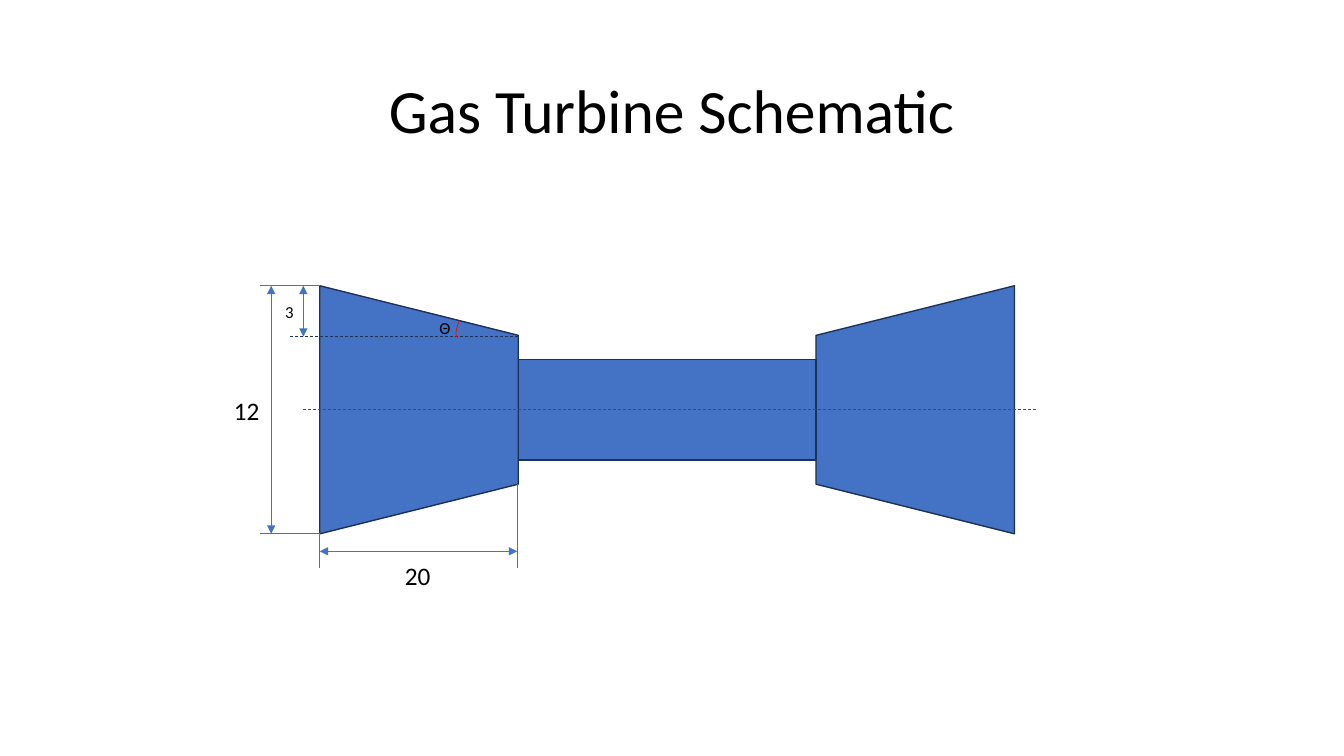
from dataclasses import dataclass
from typing import Optional

from lxml.etree import SubElement
from pptx import Presentation
from pptx.dml.color import RGBColor
from pptx.enum.dml import MSO_LINE as Dash
from pptx.enum.shapes import MSO_CONNECTOR as Connector, MSO_SHAPE as Preset
from pptx.enum.text import MSO_ANCHOR as Anchor, PP_ALIGN as Align
from pptx.oxml.ns import qn
from pptx.util import Pt

COLORS = {"body": "4472C4", "outline": "1E3256", "axis": "FF0000", "text": "000000"}
FONT = "Calibri"

# Main levels of the drawing, in points
AXIS_Y = 292.7
MOUTH, LENGTH = 177.2, 141.8
LEFT, RIGHT = 228.4, 582.9
THROAT = LEFT + LENGTH
TOP, BOTTOM = AXIS_Y - MOUTH / 2, AXIS_Y + MOUTH / 2
STEP_Y = 240.5
SHAFT_HEIGHT = 72


@dataclass
class Body:
    preset: Preset
    center_x: float
    width: float
    height: float
    rotation: float = 0


@dataclass
class Line:
    x1: float
    y1: float
    x2: float
    y2: float
    color: str = "body"
    dashed: bool = False
    arrows: bool = False


@dataclass
class Label:
    text: str
    left: float
    top: float
    width: float
    height: float
    size: float


BODIES = [
    Body(Preset.TRAPEZOID, LEFT + LENGTH / 2, MOUTH, LENGTH, 270 - 180),
    Body(Preset.TRAPEZOID, RIGHT + LENGTH / 2, MOUTH, LENGTH, 270),
    Body(Preset.RECTANGLE, (THROAT + RIGHT) / 2, RIGHT - THROAT, SHAFT_HEIGHT),
]
LINES = [
    # Step level and centre line
    Line(THROAT, STEP_Y, 207.5, STEP_Y, "outline", dashed=True),
    Line(216.7, AXIS_Y, 741.6, AXIS_Y, "axis", dashed=True),
    # Extension lines
    Line(LEFT, TOP, 185.8, TOP),
    Line(LEFT, BOTTOM, 185.8, BOTTOM),
    Line(LEFT, BOTTOM, LEFT, 406),
    Line(369.5, 345.6, 369.5, 406),
    # Dimension arrows
    Line(216.7, STEP_Y, 216.7, TOP, arrows=True),
    Line(193.7, BOTTOM, 193.7, TOP, arrows=True),
    Line(LEFT, 393.8, 369.5, 393.8, arrows=True),
]
LABELS = [
    Label("12", 160, 278.6, 35.3, 29.1, 18),
    Label("3", 196.6, 211.7, 18, 21.8, 12),
    Label("20", 282.2, 396.7, 35.3, 29.1, 18),
    Label("Θ", 306.7, 223.2, 19.4, 21.8, 12),
]


def rgb(name: str) -> RGBColor:
    return RGBColor.from_string(COLORS[name])


def write_text(frame, text: str, *, size: float, align: Align = Align.LEFT,
               anchor: Anchor = Anchor.TOP, spacing: Optional[float] = None) -> None:
    frame.word_wrap = True
    frame.vertical_anchor = anchor
    paragraph = frame.paragraphs[0]
    paragraph.alignment = align
    paragraph.line_spacing = spacing
    run = paragraph.add_run()
    run.text = text
    run.font.name = FONT
    run.font.size = Pt(size)
    run.font.color.rgb = rgb("text")


def draw_body(slide, body: Body) -> None:
    shape = slide.shapes.add_shape(
        body.preset, Pt(body.center_x - body.width / 2), Pt(AXIS_Y - body.height / 2),
        Pt(body.width), Pt(body.height))
    shape.rotation = body.rotation
    shape.shadow.inherit = False
    shape.fill.solid()
    shape.fill.fore_color.rgb = rgb("body")
    shape.line.color.rgb = rgb("outline")
    shape.line.width = Pt(1)


def draw_line(slide, line: Line) -> None:
    connector = slide.shapes.add_connector(
        Connector.STRAIGHT, Pt(line.x1), Pt(line.y1), Pt(line.x2), Pt(line.y2))
    connector.line.color.rgb = rgb(line.color)
    connector.line.width = Pt(0.5)
    if line.dashed:
        connector.line.dash_style = Dash.DASH
    if line.arrows:
        for end in ("a:headEnd", "a:tailEnd"):
            SubElement(connector.line._get_or_add_ln(), qn(end), type="triangle")
    SubElement(connector._element.spPr, qn("a:effectLst"))


def draw_angle_arc(slide) -> None:
    arc = slide.shapes.add_shape(Preset.ARC, Pt(327.6), Pt(220.3), Pt(7.2), Pt(21.6))
    arc.rotation = 204.2
    arc.shadow.inherit = False
    arc.fill.background()
    arc.line.color.rgb = rgb("axis")
    arc.line.width = Pt(0.5)


def draw_label(slide, label: Label) -> None:
    box = slide.shapes.add_textbox(
        Pt(label.left), Pt(label.top), Pt(label.width), Pt(label.height))
    write_text(box.text_frame, label.text, size=label.size)


def main() -> None:
    presentation = Presentation()
    presentation.slide_width, presentation.slide_height = Pt(960), Pt(540)
    slide = presentation.slides.add_slide(presentation.slide_layouts[5])

    # Title
    title = slide.shapes.title
    title.left, title.top, title.width, title.height = Pt(66), Pt(28.8), Pt(828), Pt(104.4)
    write_text(title.text_frame, "Gas Turbine Schematic", size=44,
               align=Align.CENTER, anchor=Anchor.MIDDLE, spacing=0.9)

    # Turbine, dimensions and labels
    for body in BODIES:
        draw_body(slide, body)
    for line in LINES:
        draw_line(slide, line)
    draw_angle_arc(slide)
    for label in LABELS:
        draw_label(slide, label)

    presentation.save("out.pptx")


if __name__ == "__main__":
    main()
